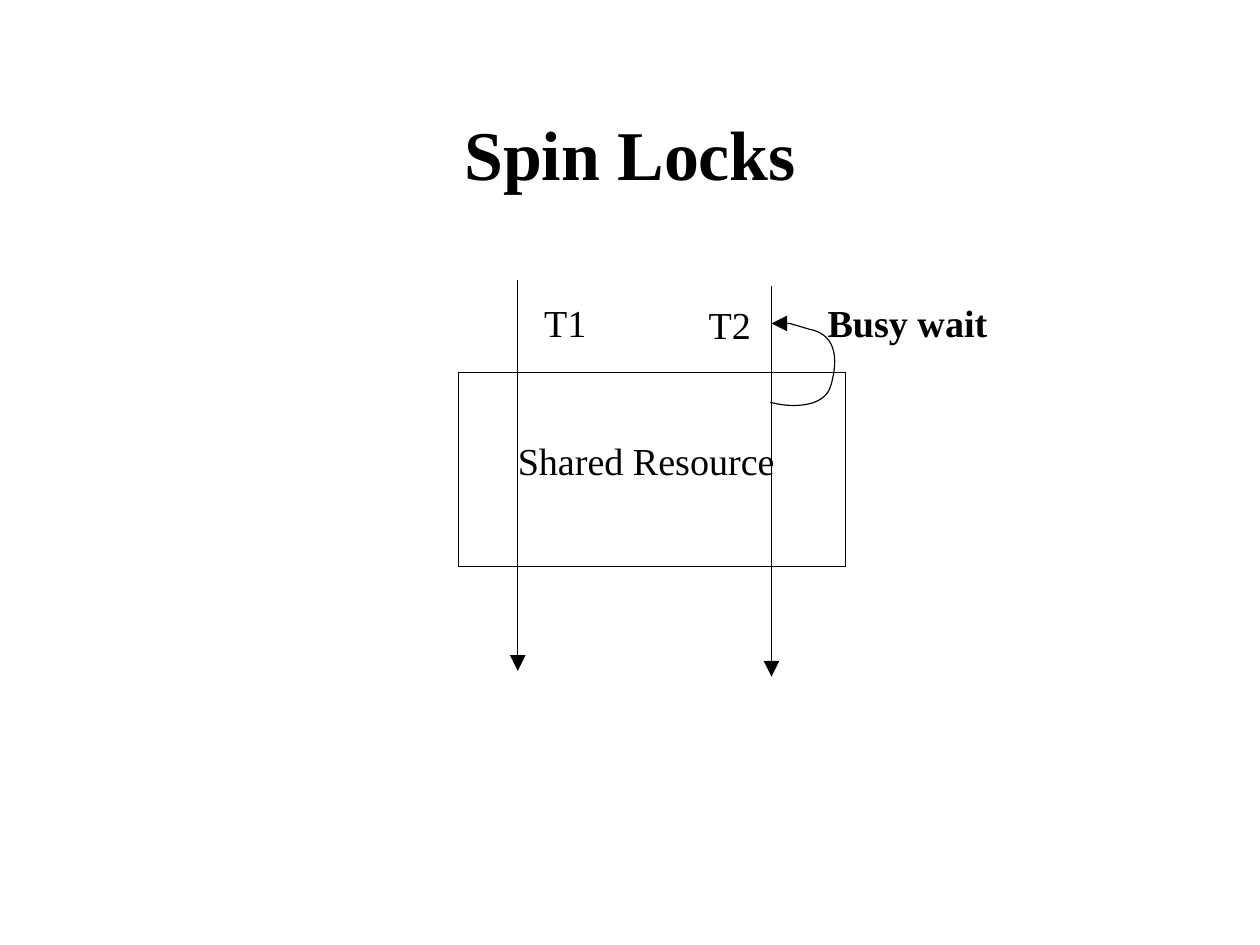
from lxml import etree
from pptx import Presentation, util as u
from pptx.dml.color import RGBColor
from pptx.enum import shapes, text
from pptx.oxml.ns import qn

COLORS = {"ink": "000000", "paper": "FFFFFF"}
FONT = "Times New Roman"
LINE_WIDTH = 0.74
CELL = u.Inches(0.1)


def grid(*counts):
    return [round(count * CELL) for count in counts]


def color(name):
    return RGBColor.from_string(COLORS[name])


def style_line(item, arrow=False):
    item.line.color.rgb = color("ink")
    item.line.width = u.Pt(LINE_WIDTH)
    if arrow:
        outline = item.line._get_or_add_ln()
        etree.SubElement(outline, qn("a:tailEnd"),
                         type="triangle", w="lg", len="lg")


def add_label(page, words, place, size=24, bold=False, title=False):
    box = page.shapes.add_textbox(*grid(*place))
    frame = box.text_frame
    frame.word_wrap = title
    frame.margin_left = frame.margin_right = 0
    frame.margin_top = frame.margin_bottom = 0
    para = frame.paragraphs[0]
    para.line_spacing = 0.94
    if title:
        frame.vertical_anchor = text.MSO_ANCHOR.MIDDLE
        para.alignment = text.PP_ALIGN.CENTER
    else:
        frame.auto_size = text.MSO_AUTO_SIZE.SHAPE_TO_FIT_TEXT
    span = para.add_run()
    span.text = words
    span.font.name = FONT
    span.font.size = u.Pt(size)
    span.font.bold = bold
    span.font.color.rgb = color("ink")


def add_resource(page, place):
    resource = page.shapes.add_shape(
        shapes.MSO_SHAPE.ROUNDED_RECTANGLE, *grid(*place))
    resource.adjustments[0] = 0
    resource.shadow.inherit = False
    resource.fill.background()
    style_line(resource)


def add_thread(page, column, top, length=34.2):
    thread = page.shapes.add_connector(
        shapes.MSO_CONNECTOR.STRAIGHT,
        *grid(column, top, column, top + length))
    style_line(thread, arrow=True)
    etree.SubElement(thread._element.spPr, qn("a:effectLst"))


def curve(start, first, second, end, steps=16):
    points = []
    for step in range(1, steps + 1):
        t = step / steps
        weights = ((1 - t) ** 3, 3 * t * (1 - t) ** 2,
                   3 * t ** 2 * (1 - t), t ** 3)
        points.append(tuple(
            sum(weight * value for weight, value in zip(weights, axis))
            for axis in zip(start, first, second, end)))
    return points


def add_wait_loop(page):
    start, bend, top = (67.4, 35.2), (72.7, 33.7), (70.8, 28.8)
    points = curve(start, (69.2, 35.7), (72.2, 35.7), bend)
    points += curve(bend, (73.2, 32), (73.5, 29.3), top)
    points += [(69.1, 28.3), (67.5, 28.3)]
    builder = page.shapes.build_freeform(*grid(*start))
    builder.add_line_segments([grid(*point) for point in points], close=False)
    loop = builder.convert_to_shape()
    loop.shadow.inherit = False
    loop.fill.background()
    style_line(loop, arrow=True)


def main():
    deck = Presentation()
    deck.slide_width, deck.slide_height = u.Cm(28), u.Cm(21)
    page = deck.slides.add_slide(deck.slide_layouts[6])
    page.background.fill.solid()
    page.background.fill.fore_color.rgb = color("paper")

    add_label(page, "Spin Locks", (8.1, 6.8, 94.1, 13.8), 44, True, True)
    add_resource(page, (40.1, 32.6, 33.9, 17))
    for column, top in ((45.3, 24.5), (67.5, 25)):
        add_thread(page, column, top)
    add_wait_loop(page)
    add_label(page, "Busy wait", (72.4, 26.5, 14, 3.8), bold=True)
    add_label(page, "Shared Resource", (45.3, 38.6, 22.5, 3.8))
    add_label(page, "T1", (47.6, 26.5, 3.7, 3.8))
    add_label(page, "T2", (62, 26.7, 3.7, 3.8))
    deck.save("out.pptx")


main()
